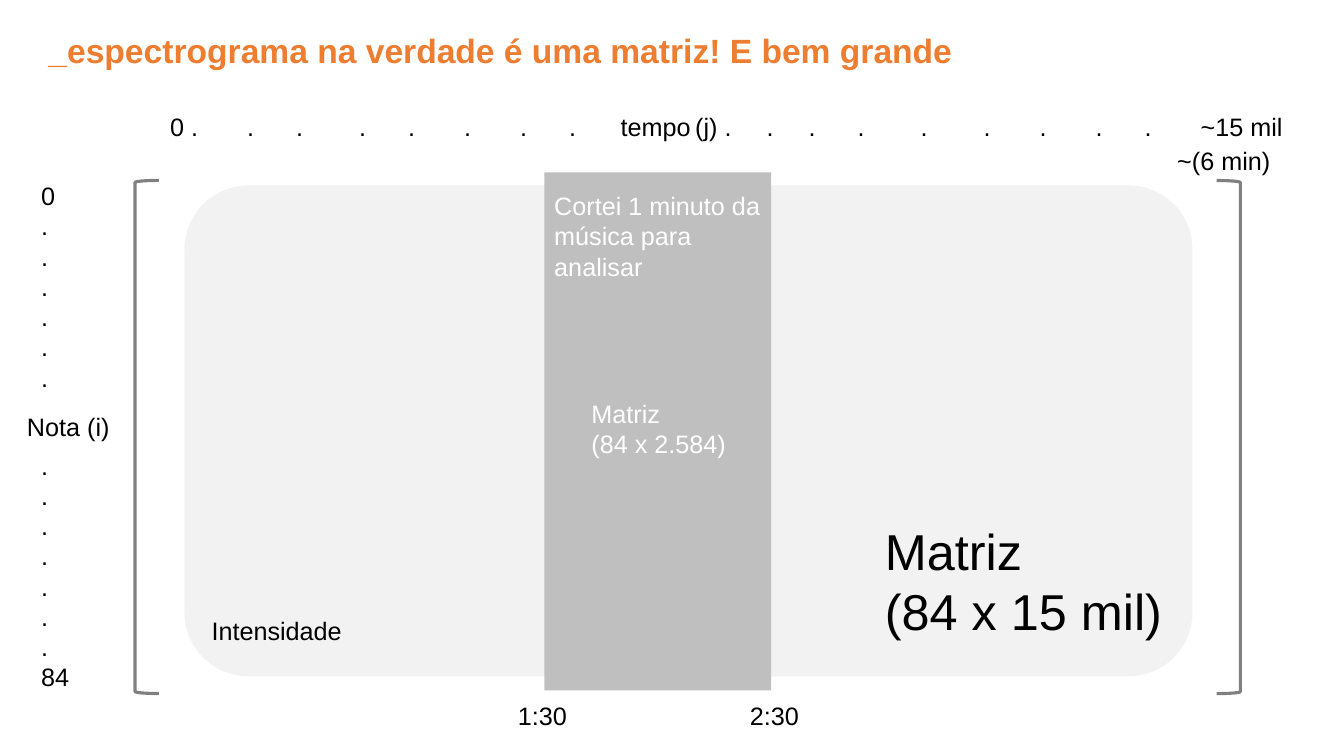
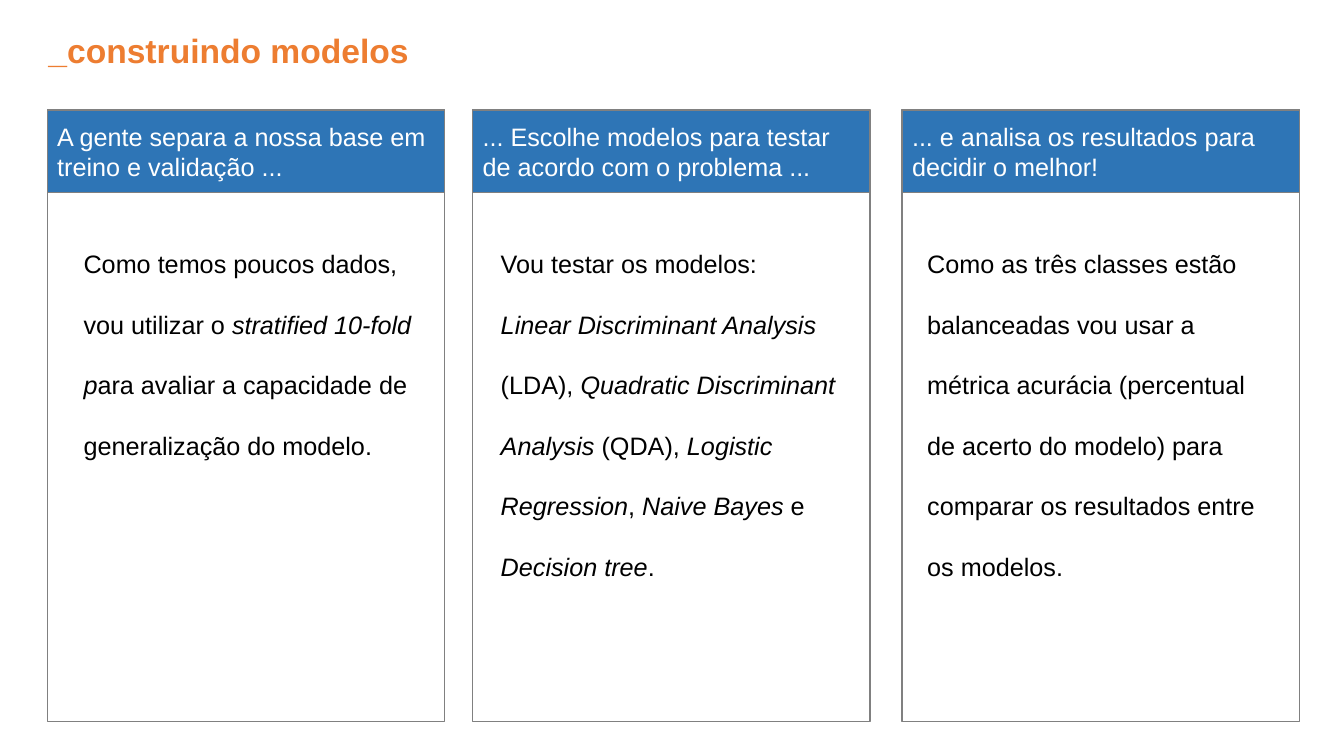
from dataclasses import dataclass
from itertools import accumulate
from typing import NamedTuple, Sequence

from lxml.etree import SubElement
from pptx import Presentation
from pptx.dml.color import RGBColor
from pptx.enum.shapes import MSO_SHAPE
from pptx.enum.text import MSO_ANCHOR, MSO_AUTO_SIZE, PP_ALIGN
from pptx.oxml.ns import qn
from pptx.util import Pt


@dataclass(frozen=True)
class Theme:
    font: str = "Arial"
    orange: str = "ED7D31"
    blue: str = "2E75B6"
    black: str = "000000"
    white: str = "FFFFFF"
    outline: str = "808080"
    matrix: str = "F2F2F2"
    cut: str = "BFBFBF"
    body_size: float = 18
    title_size: float = 24
    large_size: float = 36


THEME = Theme()
LINE_HEIGHT = 20.7


class Box(NamedTuple):
    left: float
    top: float
    width: float
    height: float


class Span(NamedTuple):
    text: str
    italic: bool = False


class Label(NamedTuple):
    box: Box
    lines: Sequence[str]
    size: float = THEME.body_size
    color: str = THEME.black


@dataclass(frozen=True)
class Column:
    left: float
    body_left: float
    heading: str
    body: Sequence[Sequence[Span]]


MATRIX_LABELS = [
    Label(Box(436.3, 75.6, 64.8, 29), ["tempo"]),
    Label(Box(12.2, 290.2, 74.2, 29), ["Nota (i)"]),
    Label(Box(144, 435.6, 108.7, 29), ["Intensidade"]),
    Label(Box(625, 367.9, 214.6, 94.3), ["Matriz", "(84 x 15 mil)"], THEME.large_size),
    Label(Box(833.8, 100.1, 81.4, 29), ["~(6 min)"]),
    Label(Box(362.9, 496.8, 49.7, 29), ["1:30"]),
    Label(Box(528.5, 496.8, 49.7, 29), ["2:30"]),
    Label(Box(415.4, 280.8, 111.6, 51.1), ["Matriz", "(84 x 2.584)"], color=THEME.white),
]

TIME_MARKS = ["0 .", *["."] * 7, "(j) .", *["."] * 8, "~15 mil"]
TIME_STEPS = [55, 35, 45, 35, 40, 40, 35, 90, 51, 30, 35, 45, 45, 40, 40, 35, 40]
NOTES_ABOVE = ["0", *["."] * 6]
NOTES_BELOW = [*["."] * 7, "84"]

COLUMNS = [
    Column(33.8, 52.6, "A gente separa a nossa base em treino e validação ...", [[
        Span("Como temos poucos dados, vou utilizar o "),
        Span("stratified 10-fold p", True),
        Span("ara avaliar a capacidade de generalização do modelo."),
    ]]),
    Column(337.7, 350.6, "... Escolhe modelos para testar de acordo com o problema ...", [
        [Span("Vou testar os modelos:")],
        [
            Span("Linear Discriminant Analysis", True), Span(" (LDA), "),
            Span("Quadratic Discriminant Analysis ", True), Span("(QDA), "),
            Span("Logistic Regression", True), Span(", "),
            Span("Naive Bayes", True), Span(" e "),
            Span("Decision tree", True), Span("."),
        ],
    ]),
    Column(644.4, 655.2, "... e analisa os resultados para decidir o melhor!", [[
        Span("Como as três classes estão balanceadas vou usar a métrica acurácia "
             "(percentual de acerto do modelo) para comparar os resultados entre os modelos."),
    ]]),
]


def rgb(color: str) -> RGBColor:
    return RGBColor.from_string(color)


def points(box: Box) -> list:
    return [Pt(value) for value in box]


def plain(lines: Sequence[str]) -> list[list[Span]]:
    return [[Span(line)] for line in lines]


def write(frame, paras: Sequence[Sequence[Span]], size: float = THEME.body_size,
          color: str = THEME.black, bold: bool = False, line_spacing: float | None = None) -> None:
    for index, spans in enumerate(paras):
        para = frame.paragraphs[0] if index == 0 else frame.add_paragraph()
        para.alignment = PP_ALIGN.LEFT
        if line_spacing:
            para.line_spacing = line_spacing
        for span in spans:
            run = para.add_run()
            run.text = span.text
            formats = {"name": THEME.font, "size": Pt(size), "bold": bold, "italic": span.italic}
            for attribute, value in formats.items():
                setattr(run.font, attribute, value)
            run.font.color.rgb = rgb(color)


def add_text(page, box: Box, wrap: bool = False):
    frame = page.shapes.add_textbox(*points(box)).text_frame
    frame.word_wrap = wrap
    frame.auto_size = MSO_AUTO_SIZE.NONE if wrap else MSO_AUTO_SIZE.SHAPE_TO_FIT_TEXT
    return frame


def add_shape(page, kind: MSO_SHAPE, box: Box, fill: str | None = None, line_width: float = 0):
    shape = page.shapes.add_shape(kind, *points(box))
    shape.shadow.inherit = False
    if fill:
        shape.fill.solid()
        shape.fill.fore_color.rgb = rgb(fill)
    else:
        shape.fill.background()
    if line_width:
        shape.line.color.rgb = rgb(THEME.outline)
        shape.line.width = Pt(line_width)
    else:
        shape.line.fill.background()
    return shape


def add_page(deck, title: str, title_width: float):
    page = deck.slides.add_slide(deck.slide_layouts[5])
    holder = page.shapes.title
    holder.left, holder.top, holder.width, holder.height = points(Box(27.4, 18, title_width, 36.4))
    frame = holder.text_frame
    settings = {"word_wrap": False, "auto_size": MSO_AUTO_SIZE.SHAPE_TO_FIT_TEXT,
                "vertical_anchor": MSO_ANCHOR.TOP}
    for attribute, value in settings.items():
        setattr(frame, attribute, value)
    write(frame, plain([title]), THEME.title_size, THEME.orange, bold=True)
    return page


def add_time_axis(page) -> None:
    """Place the time marks on one line, each at its own tab stop."""
    frame = add_text(page, Box(114.5, 75.6, 830, 29), wrap=True)
    write(frame, plain(["\t".join(TIME_MARKS)]))
    properties = frame.paragraphs[0]._p.get_or_add_pPr()
    tabs = SubElement(properties, qn("a:tabLst"))
    for position in accumulate(TIME_STEPS):
        SubElement(tabs, qn("a:tab"), pos=str(Pt(position)), algn="l")


def add_note_axis(page) -> None:
    """Stack the note marks, leaving two lines free for the axis name."""
    frame = add_text(page, Box(22.3, 125.3, 34.6, 378))
    write(frame, plain(NOTES_ABOVE + NOTES_BELOW))
    frame.paragraphs[len(NOTES_ABOVE)].space_before = Pt(2 * LINE_HEIGHT)


def build_matrix_page(deck) -> None:
    page = add_page(deck, "_espectrograma na verdade é uma matriz! E bem grande", 666.7)
    for left, rotation in ((96.5, 0), (869, 180)):
        bracket = add_shape(page, MSO_SHAPE.LEFT_BRACKET, Box(left, 128.9, 17, 366.5),
                            line_width=2.25)
        bracket.rotation = rotation
    matrix = add_shape(page, MSO_SHAPE.ROUNDED_RECTANGLE, Box(131.8, 132.5, 720, 350.6),
                       THEME.matrix)
    matrix.adjustments[0] = 0.13
    cut = add_shape(page, MSO_SHAPE.RECTANGLE, Box(388.8, 123.1, 162, 370.1), THEME.cut)
    cut.text_frame.word_wrap = True
    cut.text_frame.vertical_anchor = MSO_ANCHOR.TOP
    cut.text_frame.margin_top = Pt(13)
    write(cut.text_frame, plain(["Cortei 1 minuto da", "música para analisar"]), color=THEME.white)
    add_time_axis(page)
    add_note_axis(page)
    for label in MATRIX_LABELS:
        write(add_text(page, label.box), plain(label.lines), label.size, label.color)


def add_column(page, column: Column) -> None:
    add_shape(page, MSO_SHAPE.RECTANGLE, Box(column.left, 78.5, 283.7, 437), line_width=1)
    header = add_shape(page, MSO_SHAPE.RECTANGLE, Box(column.left, 78.5, 283.7, 59),
                       THEME.blue, line_width=1)
    header.text_frame.word_wrap = True
    header.text_frame.vertical_anchor = MSO_ANCHOR.MIDDLE
    write(header.text_frame, plain([column.heading]), color=THEME.white)
    frame = add_text(page, Box(column.body_left, 152.6, 262, 269.3), wrap=True)
    write(frame, column.body, line_spacing=2.0)


def build_models_page(deck) -> None:
    page = add_page(deck, "_construindo modelos", 274.3)
    for column in COLUMNS:
        add_column(page, column)


def main() -> None:
    deck = Presentation()
    deck.slide_width, deck.slide_height = Pt(960), Pt(540)
    build_matrix_page(deck)
    build_models_page(deck)
    deck.save("out.pptx")


if __name__ == "__main__":
    main()
